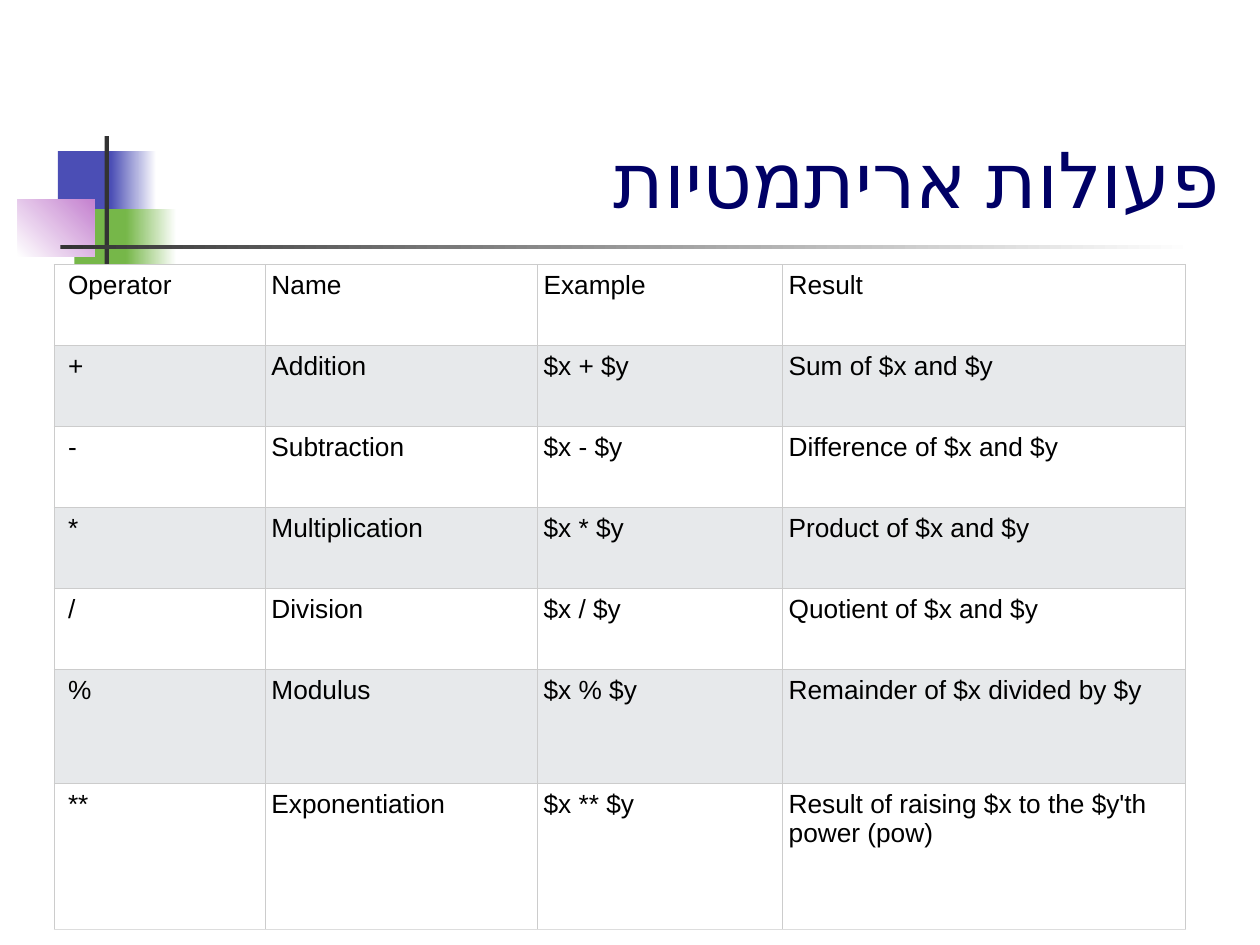
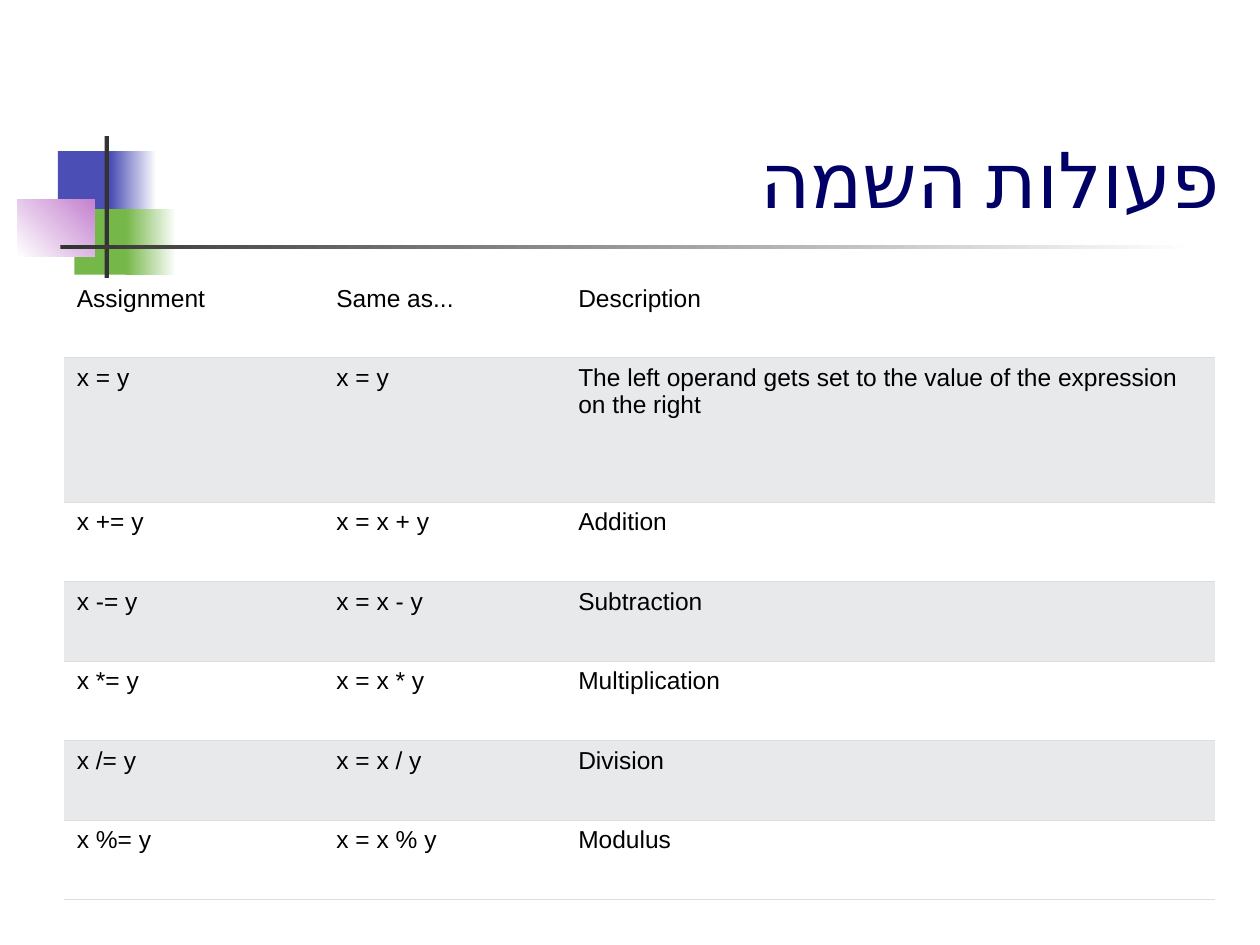
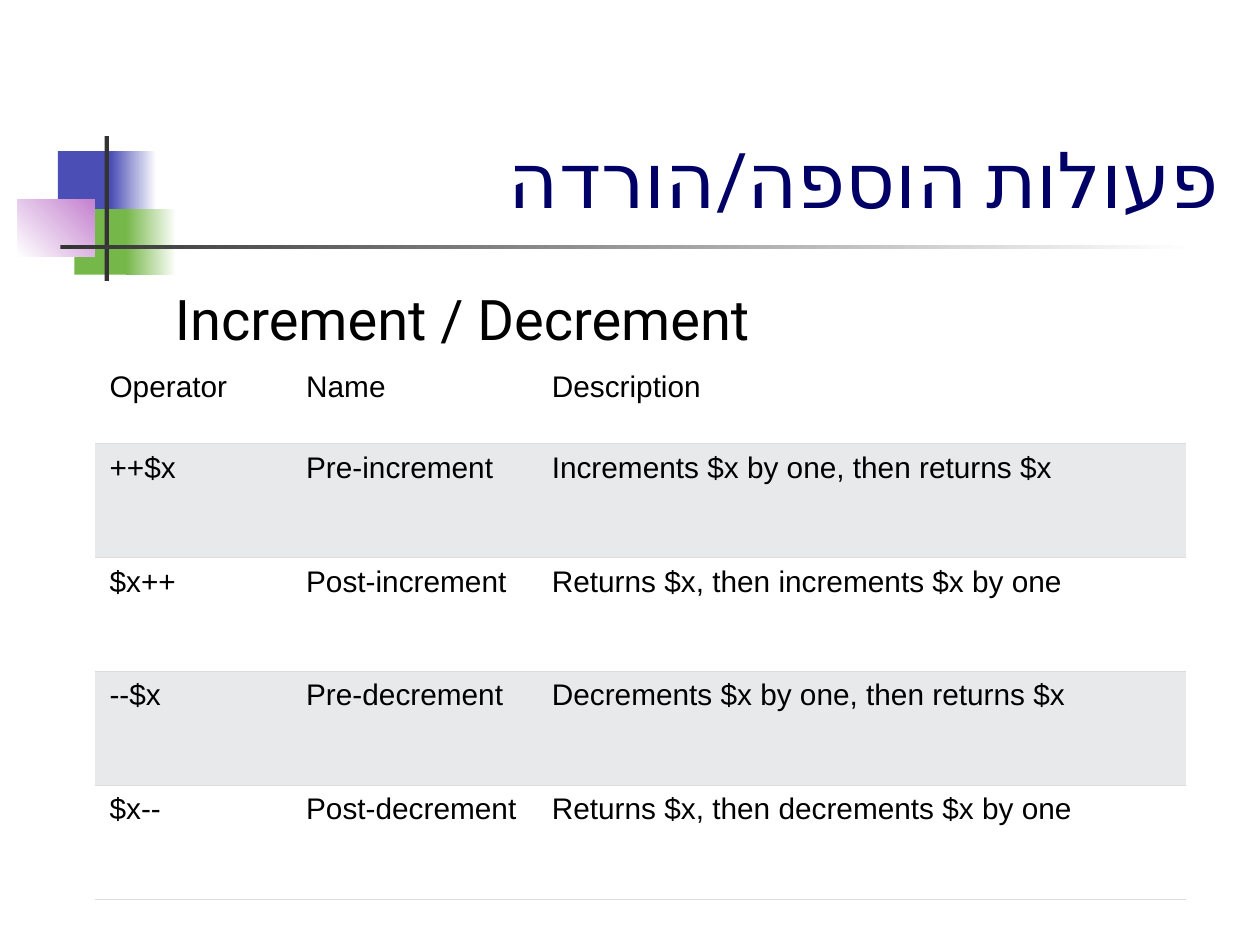
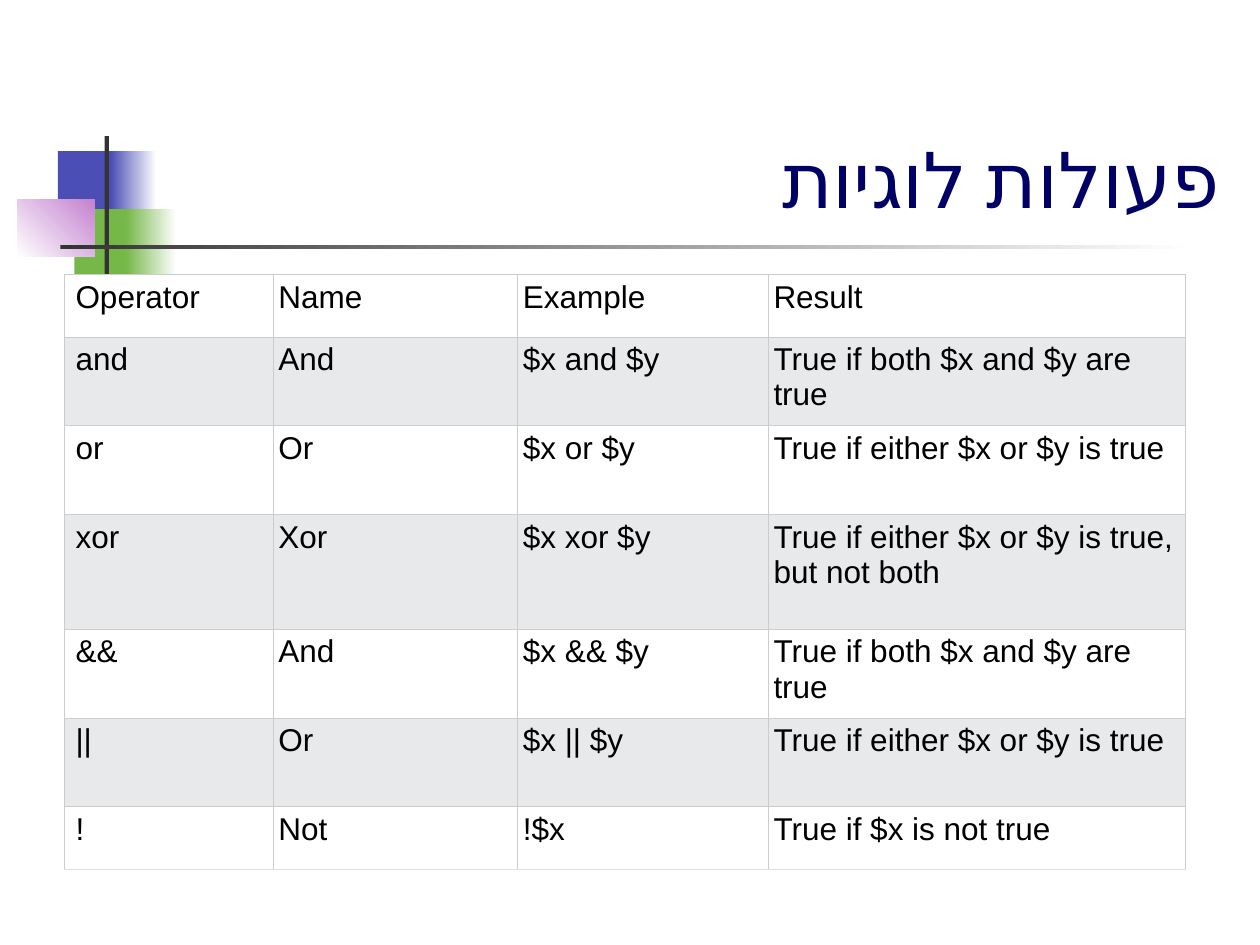
from lxml import etree
from pptx import Presentation
from pptx import util as u
from pptx.dml.color import RGBColor
from pptx.enum import lang, shapes, text
from pptx.oxml import ns

# Shared style: the grid has 100 columns and 75 rows on a 10 x 7.5 inch slide
COLUMNS, ROWS = 100, 75
WHITE, BLACK, NAVY, DARK = "FFFFFF", "000000", "000066", "333333"
BLUE, GREEN, PINK = "4B4EB5", "76B749", "C481CF"
STRIPE, GRID_LINE, RULE_LINE = "E7E9EB", "CCCCCC", "DDDDDD"
HEADING_FONT, TABLE_FONT = "Roboto", "Arial"

# Title ornament: column, row, width, height, colour, end colour, angle
ORNAMENT = [
    (4.6, 12, 4.8, 5.2, BLUE, None, 0),
    (8.8, 12, 3.6, 5.2, BLUE, WHITE, 0),
    (5.9, 16.6, 4.6, 5.2, GREEN, None, 0),
    (10, 16.6, 4, 5.2, GREEN, WHITE, 0),
    (1.4, 15.8, 6.1, 4.6, WHITE, PINK, 45),
    (8.3, 10.8, 0.35, 11.5, DARK, None, 0),
    (4.8, 19.45, 90, 0.35, DARK, WHITE, 0),
]


def color(value):
    return RGBColor.from_string(value)


class Deck:
    def __init__(self):
        self.presentation = Presentation()
        self.presentation.slide_width = u.Inches(10)
        self.presentation.slide_height = u.Inches(7.5)
        self.slide = None

    def x(self, columns):
        return round(self.presentation.slide_width * columns / COLUMNS)

    def y(self, rows):
        return round(self.presentation.slide_height * rows / ROWS)

    def box(self, column, row, width, height):
        return self.x(column), self.y(row), self.x(width), self.y(height)

    def run(self, paragraph, words, size, font, ink=BLACK):
        run = paragraph.add_run()
        run.text = words
        run.font.size = u.Pt(size)
        run.font.name = font
        run.font.color.rgb = color(ink)
        return run

    def rectangle(self, column, row, width, height, start, end=None, angle=0):
        shape = self.slide.shapes.add_shape(
            shapes.MSO_SHAPE.RECTANGLE, *self.box(column, row, width, height))
        shape.shadow.inherit = False
        shape.line.fill.background()
        if end is None:
            shape.fill.solid()
            shape.fill.fore_color.rgb = color(start)
        else:
            shape.fill.gradient()
            shape.fill.gradient_angle = angle
            for stop, shade in zip(shape.fill.gradient_stops, (start, end)):
                stop.color.rgb = color(shade)

    def new_slide(self, heading):
        self.slide = self.presentation.slides.add_slide(
            self.presentation.slide_layouts[5])
        for part in ORNAMENT:
            self.rectangle(*part)
        self.title(heading)

    def title(self, heading):
        title = self.slide.shapes.title
        title.left, title.top, title.width, title.height = self.box(12.6, 2.3, 85.2, 16)
        frame = title.text_frame
        frame.auto_size = text.MSO_AUTO_SIZE.NONE
        frame.vertical_anchor = text.MSO_ANCHOR.BOTTOM
        paragraph = frame.paragraphs[0]
        paragraph.alignment = text.PP_ALIGN.RIGHT
        paragraph._p.get_or_add_pPr().set("rtl", "1")
        run = self.run(paragraph, heading, 44, HEADING_FONT, NAVY)
        run.font.language_id = lang.MSO_LANGUAGE_ID.HEBREW
        etree.SubElement(run._r.rPr, ns.qn("a:cs"), typeface=HEADING_FONT)

    def subtitle(self, words, column, row, width, height):
        frame = self.slide.shapes.add_textbox(
            *self.box(column, row, width, height)).text_frame
        frame.word_wrap = True
        paragraph = frame.paragraphs[0]
        paragraph.space_before = u.Pt(6.4)
        self.run(paragraph, words, 32, HEADING_FONT)

    def borders(self, cell, sides):
        """Set the four cell borders; a side without a colour has no line."""
        properties = cell._tc.get_or_add_tcPr()
        for index, side in enumerate("LRTB"):
            line = etree.Element(ns.qn(f"a:ln{side}"), w=str(u.Pt(0.6)))
            if sides.get(side):
                fill = etree.SubElement(line, ns.qn("a:solidFill"))
                etree.SubElement(fill, ns.qn("a:srgbClr"), val=sides[side])
            else:
                etree.SubElement(line, ns.qn("a:noFill"))
            properties.insert(index, line)

    def table(self, column, row, widths, heights, records, size, indent, margin, grid):
        """Striped table, with a full grid or with horizontal rules only."""
        table = self.slide.shapes.add_table(
            len(heights), len(widths),
            *self.box(column, row, sum(widths), sum(heights))).table
        table.first_row = table.horz_banding = False
        for table_column, width in zip(table.columns, widths):
            table_column.width = self.x(width)
        for table_row, height in zip(table.rows, heights):
            table_row.height = self.y(height)
        last = len(records) - 1
        for i, record in enumerate(records):
            if grid:
                sides = dict.fromkeys("LRT", GRID_LINE)
                sides["B"] = RULE_LINE if i == last else GRID_LINE
            else:
                sides = {"T": RULE_LINE if i else None, "B": RULE_LINE}
            for j, words in enumerate(record):
                cell = table.cell(i, j)
                cell.margin_left = u.Inches(margin if j else indent)
                cell.margin_right = cell.margin_top = cell.margin_bottom = u.Inches(margin)
                cell.fill.solid()
                cell.fill.fore_color.rgb = color(STRIPE if i % 2 else WHITE)
                self.borders(cell, sides)
                self.run(cell.text_frame.paragraphs[0], words, size, TABLE_FONT)


ARITHMETIC = [
    ("Operator", "Name", "Example", "Result"),
    ("+", "Addition", "$x + $y", "Sum of $x and $y"),
    ("-", "Subtraction", "$x - $y", "Difference of $x and $y"),
    ("*", "Multiplication", "$x * $y", "Product of $x and $y"),
    ("/", "Division", "$x / $y", "Quotient of $x and $y"),
    ("%", "Modulus", "$x % $y", "Remainder of $x divided by $y"),
    ("**", "Exponentiation", "$x ** $y", "Result of raising $x to the $y'th power (pow)"),
]
ASSIGNMENT = [
    ("Assignment", "Same as...", "Description"),
    ("x = y", "x = y",
     "The left operand gets set to the value of the expression on the right"),
    ("x += y", "x = x + y", "Addition"),
    ("x -= y", "x = x - y", "Subtraction"),
    ("x *= y", "x = x * y", "Multiplication"),
    ("x /= y", "x = x / y", "Division"),
    ("x %= y", "x = x % y", "Modulus"),
]
INCREMENT = [
    ("Operator", "Name", "Description"),
    ("++$x", "Pre-increment", "Increments $x by one, then returns $x"),
    ("$x++", "Post-increment", "Returns $x, then increments $x by one"),
    ("--$x", "Pre-decrement", "Decrements $x by one, then returns $x"),
    ("$x--", "Post-decrement", "Returns $x, then decrements $x by one"),
]
LOGIC = [
    ("Operator", "Name", "Example", "Result"),
    ("and", "And", "$x and $y", "True if both $x and $y are true"),
    ("or", "Or", "$x or $y", "True if either $x or $y is true"),
    ("xor", "Xor", "$x xor $y", "True if either $x or $y is true, but not both"),
    ("&&", "And", "$x && $y", "True if both $x and $y are true"),
    ("||", "Or", "$x || $y", "True if either $x or $y is true"),
    ("!", "Not", "!$x", "True if $x is not true"),
]


def main():
    deck = Deck()

    # Arithmetic operators
    deck.new_slide("פעולות אריתמטיות")
    deck.table(4.3, 21, [16.75, 21.6, 19.45, 32], [6.43] * 5 + [9, 11.65],
               ARITHMETIC, size=15, indent=0.11, margin=0.05, grid=True)

    # Assignment operators
    deck.new_slide("פעולות השמה")
    deck.table(5.1, 22.1, [21.1, 19.2, 51], [6.3, 11.45] + [6.31] * 5,
               ASSIGNMENT, size=14, indent=0.1, margin=0.05, grid=False)

    # Increment and decrement operators
    deck.new_slide("פעולות הוספה/הורדה")
    deck.subtitle("Increment / Decrement", 12.9, 22.1, 85, 45)
    deck.table(7.5, 28.8, [16.2, 19.5, 50.9], [6.4] + [9.04] * 4,
               INCREMENT, size=17, indent=0.12, margin=0.06, grid=False)

    # Logical operators
    deck.new_slide("פעולות לוגיות")
    deck.table(5.1, 21.8, [16.6, 19.4, 19.9, 33.1], [4.95, 7.05, 7.05, 9.1, 7.05, 7.05, 4.95],
               LOGIC, size=18, indent=0.09, margin=0.04, grid=True)

    deck.presentation.save("out.pptx")


if __name__ == "__main__":
    main()
